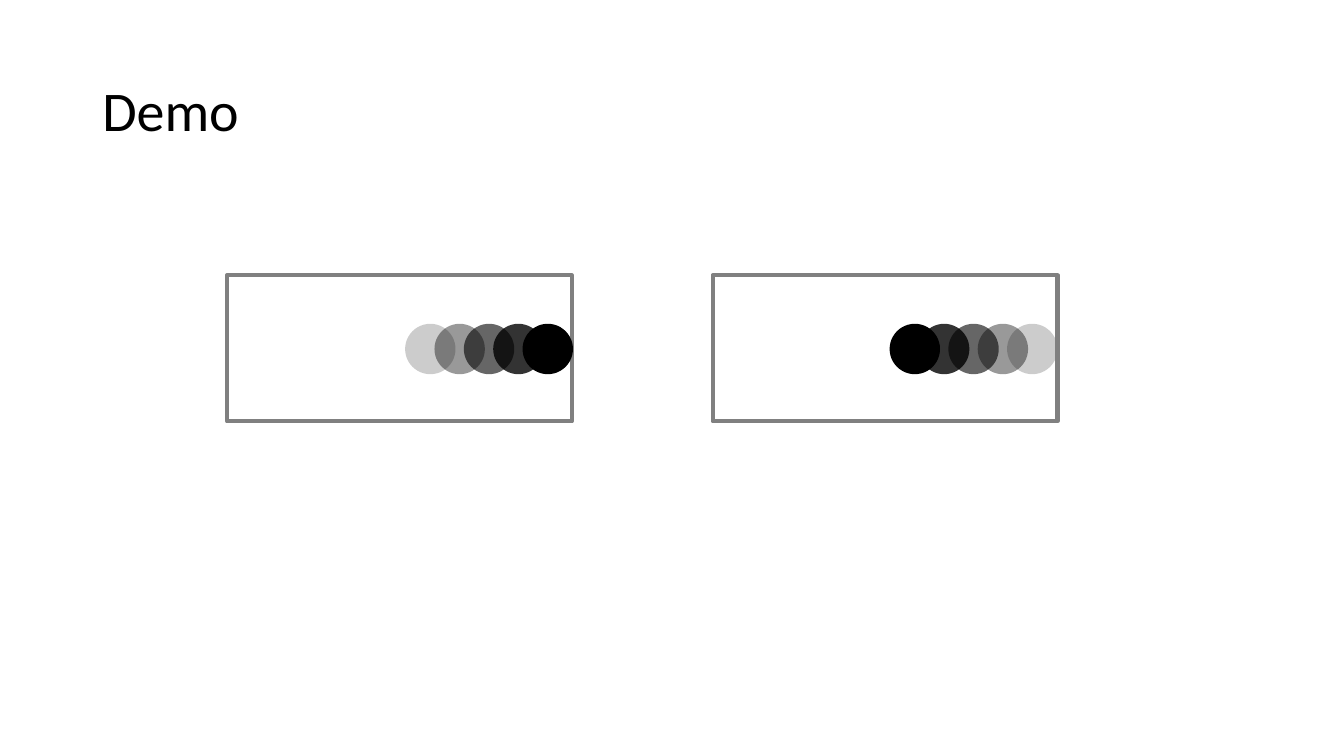
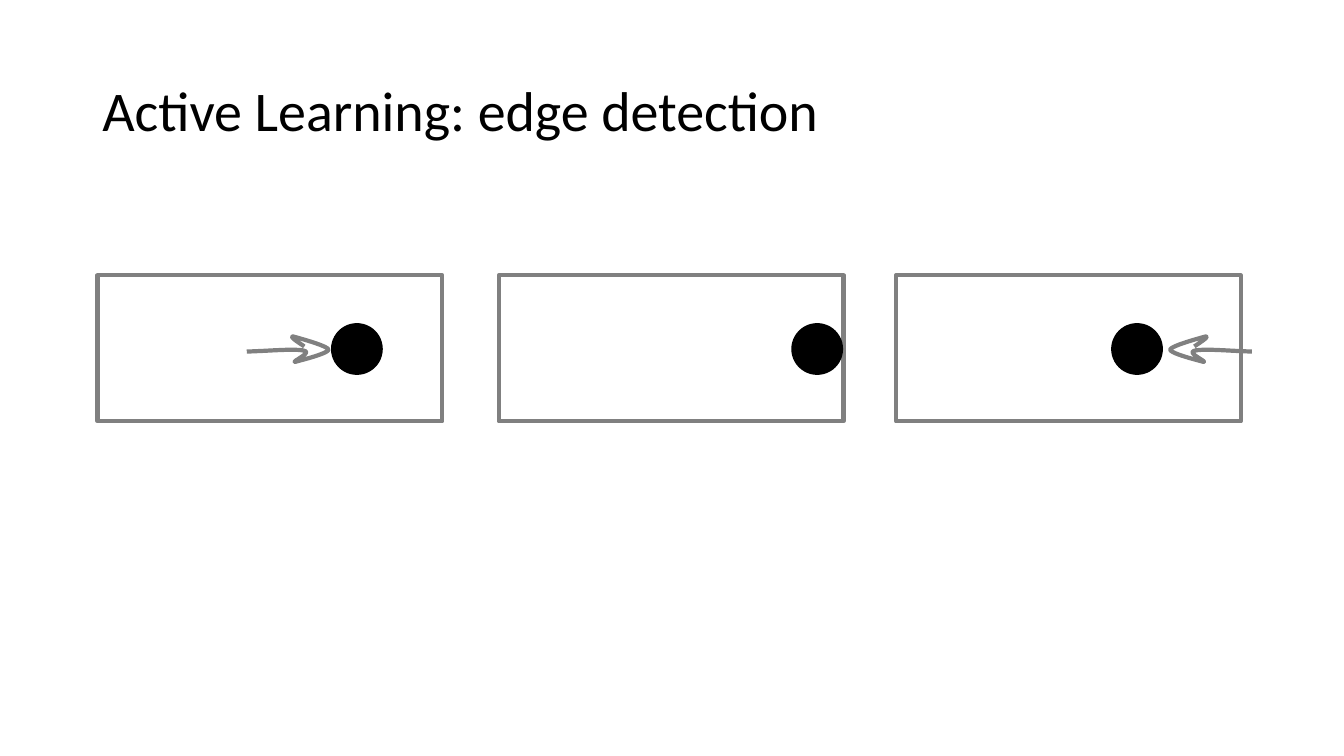
from lxml import etree
from pptx import Presentation
from pptx import util as u
from pptx.dml.color import RGBColor
from pptx.enum import shapes, text
from pptx.oxml import ns

BLACK = RGBColor(0x00, 0x00, 0x00)
GREY = RGBColor(0x80, 0x80, 0x80)

BALL = 1.27
BALL_TOP = 8.16
TRAIL_STEP = 0.74
FRAME_TOP, FRAME_WIDTH, FRAME_HEIGHT = 6.94, 8.69, 3.68
ARROW_TOP = 8.48
CURVE_STEPS = 12

# Bezier points of the hand-drawn arrow in cm, measured from its tail:
# a start point, then three points for each curve.
ARROW = [
    (0, 0.38),
    (0.64, 0.36), (1.24, 0.30), (1.45, 0.36),
    (1.65, 0.41), (1.12, 0.64), (1.22, 0.64),
    (1.32, 0.61), (2.06, 0.43), (2.06, 0.33),
    (2.03, 0.23), (1.27, 0.03), (1.17, 0),
    (1.07, 0), (1.27, 0.13), (1.45, 0.25),
]


def bezier(p0, p1, p2, p3, t):
    s = 1 - t
    return tuple(s**3 * a + 3 * s * s * t * b + 3 * s * t * t * c + t**3 * d
                 for a, b, c, d in zip(p0, p1, p2, p3))


class Deck:
    def __init__(self):
        self.prs = Presentation()
        self.prs.slide_width = u.Cm(33.87)
        self.prs.slide_height = u.Cm(19.05)
        self.slide = None

    def new_slide(self, title):
        self.slide = self.prs.slides.add_slide(self.prs.slide_layouts[6])
        box = self.slide.shapes.add_textbox(
            u.Cm(2.33), u.Cm(1.01), u.Cm(29.21), u.Cm(3.68))
        frame = box.text_frame
        frame.word_wrap = True
        frame.vertical_anchor = text.MSO_ANCHOR.MIDDLE
        heading = frame.paragraphs[0]
        heading.line_spacing = 0.9
        run = heading.add_run()
        run.text = title
        for name, value in {"name": "Calibri", "size": u.Pt(40)}.items():
            setattr(run.font, name, value)
        run.font.color.rgb = BLACK

    def style(self, shape, fill=None, line=None, width=1):
        shape.shadow.inherit = False
        if fill is None:
            shape.fill.background()
        else:
            shape.fill.solid()
            shape.fill.fore_color.rgb = fill
        if line is None:
            shape.line.fill.background()
        else:
            shape.line.color.rgb = line
            shape.line.width = u.Pt(width)
        return shape

    def frame(self, left):
        shape = self.slide.shapes.add_shape(
            shapes.MSO_SHAPE.RECTANGLE, u.Cm(left), u.Cm(FRAME_TOP),
            u.Cm(FRAME_WIDTH), u.Cm(FRAME_HEIGHT))
        self.style(shape, line=GREY, width=3)

    def ball(self, left, opacity=100, line=None):
        shape = self.slide.shapes.add_shape(
            shapes.MSO_SHAPE.OVAL, u.Cm(left), u.Cm(BALL_TOP),
            u.Cm(BALL), u.Cm(BALL))
        self.style(shape, fill=BLACK, line=line)
        if opacity < 100:
            color = shape._element.spPr.find(
                ns.qn("a:solidFill")).find(ns.qn("a:srgbClr"))
            etree.SubElement(color, ns.qn("a:alpha"), val=str(opacity * 1000))

    def trail(self, faintest_left, direction):
        """Draw balls from faint to solid; direction 1 runs right, -1 left."""
        for i in range(5):
            self.ball(faintest_left + direction * i * TRAIL_STEP,
                      opacity=20 * (i + 1))

    def arrow(self, tail, direction):
        """Draw the curved arrow; direction 1 points right, -1 left."""
        points = [(u.Cm(tail + direction * x), u.Cm(ARROW_TOP + y))
                  for x, y in ARROW]
        outline = [bezier(*points[i:i + 4], step / CURVE_STEPS)
                   for i in range(0, len(points) - 1, 3)
                   for step in range(1, CURVE_STEPS + 1)]
        builder = self.slide.shapes.build_freeform(*points[0])
        builder.add_line_segments(outline, close=False)
        self.style(builder.convert_to_shape(), line=GREY, width=3)


def main():
    deck = Deck()

    deck.new_slide("Demo")
    deck.trail(25.38, -1)
    for left in (5.72, 17.96):
        deck.frame(left)
    deck.trail(10.21, 1)

    deck.new_slide("Active Learning: edge detection")
    for frame_left, ball_left in ((2.46, 8.36), (12.57, 19.96), (22.58, 28.02)):
        deck.frame(frame_left)
        deck.ball(ball_left, line=BLACK)
    for tail, direction in ((6.22, 1), (31.55, -1)):
        deck.arrow(tail, direction)

    deck.prs.save("out.pptx")


if __name__ == "__main__":
    main()
